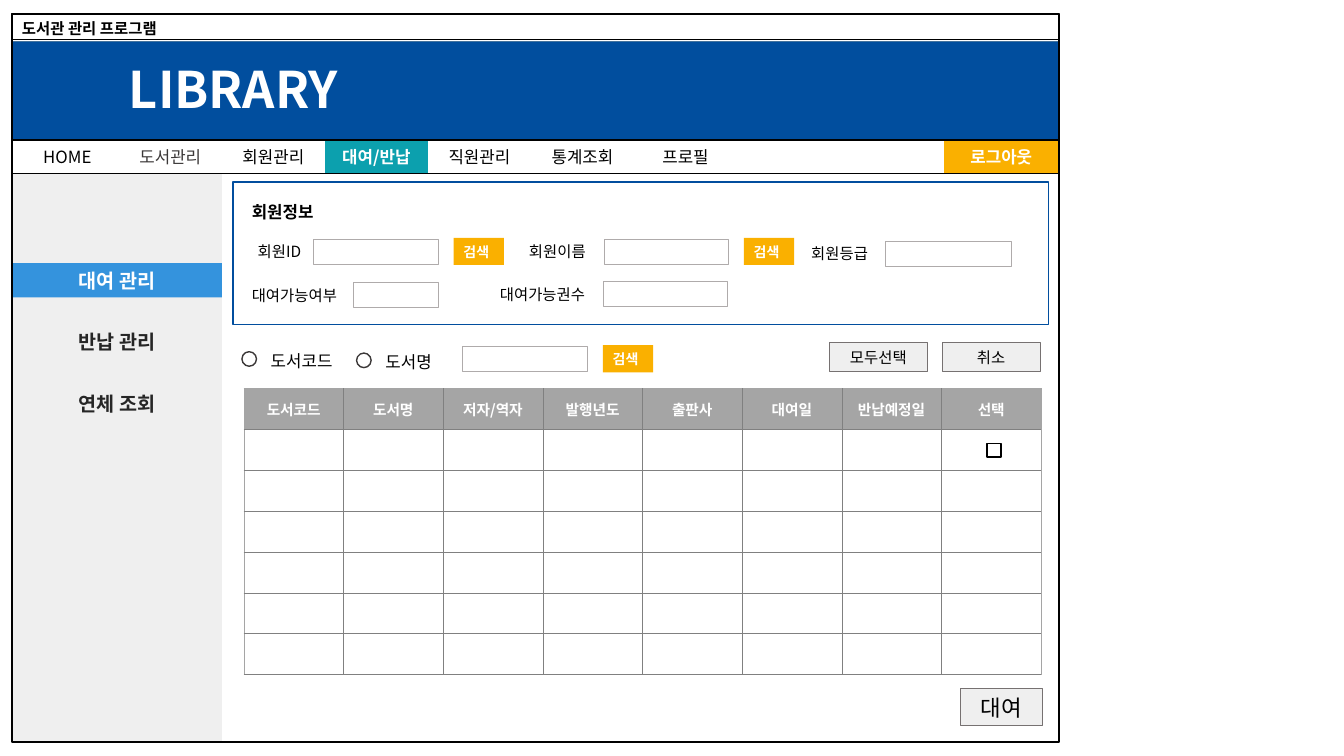
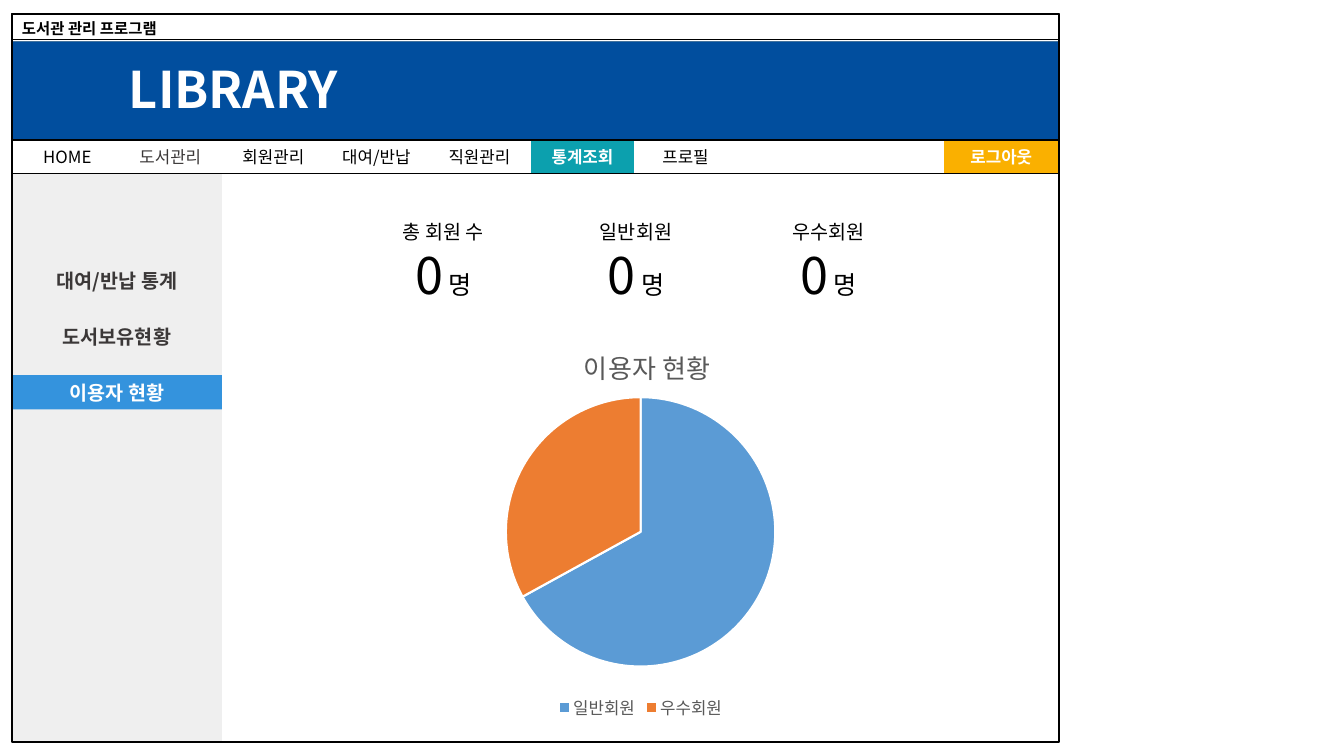
import pptx
import pptx.chart.data
import pptx.dml.color
import pptx.enum.chart
import pptx.enum.shapes
import pptx.enum.text
import pptx.oxml.ns
import pptx.util
from lxml import etree

Pt = pptx.util.Pt
qn = pptx.oxml.ns.qn
rgb = pptx.dml.color.RGBColor.from_string
MIDDLE = pptx.enum.text.MSO_ANCHOR.MIDDLE
LEFT, CENTER = pptx.enum.text.PP_ALIGN.LEFT, pptx.enum.text.PP_ALIGN.CENTER
RECT = pptx.enum.shapes.MSO_SHAPE.RECTANGLE
PROCESS = pptx.enum.shapes.MSO_SHAPE.FLOWCHART_PROCESS
OVAL = pptx.enum.shapes.MSO_SHAPE.OVAL

FONT = "Noto Sans CJK KR"
BLACK, WHITE, DARK, TITLE_GRAY = "000000", "FFFFFF", "3B3838", "595959"
NAVY, BLUE, TEAL, AMBER = "014E9E", "3493DD", "0CA0AE", "FAB000"
PANEL, FIELD_LINE, BUTTON_LINE = "EFEFEF", "AFABAB", "767171"
HEAD, GRID = "A5A5A5", "808080"


def style(font, size, color=BLACK, bold=False):
    font.size, font.bold, font.name = Pt(size), bold, FONT
    font.color.rgb = rgb(color)
    etree.SubElement(font._rPr, qn("a:ea"), typeface=FONT)


def box(s, x, y, w, h, text="", size=12, color=BLACK, bold=False, align=LEFT,
        fill=None, line=None, weight=1, kind=RECT):
    pos = Pt(x), Pt(y), Pt(w), Pt(h)
    if fill or line:
        sp = s.shapes.add_shape(kind, *pos)
        sp.shadow.inherit = False
        if fill:
            sp.fill.solid()
            sp.fill.fore_color.rgb = rgb(fill)
        else:
            sp.fill.background()
        if line:
            sp.line.color.rgb = rgb(line)
            sp.line.width = Pt(weight)
        else:
            sp.line.fill.background()
    else:
        sp = s.shapes.add_textbox(*pos)
    tf = sp.text_frame
    tf.word_wrap, tf.vertical_anchor = True, MIDDLE
    tf.margin_top = tf.margin_bottom = 0
    if align == LEFT:
        tf.margin_right = 0
    if text:
        tf.text = text
        tf.paragraphs[0].alignment = align
        style(tf.paragraphs[0].runs[0].font, size, color, bold)
    return sp


prs = pptx.Presentation()
prs.slide_width, prs.slide_height = Pt(960), Pt(540)

# Window frame, banner, tabs and side menu of both slides
TABS = ["HOME", "도서관리", "회원관리", "대여/반납", "직원관리", "통계조회", "프로필"]
screens = [
    ("대여/반납", ["대여 관리", "반납 관리", "연체 조회"], "대여 관리", 44, "262626"),
    ("통계조회", ["대여/반납 통계", "도서보유현황", "이용자 현황"], "이용자 현황", 40, DARK),
]
slides = []
for active_tab, menu, active_item, step, menu_color in screens:
    s = prs.slides.add_slide(prs.slide_layouts[6])
    slides.append(s)
    box(s, 8.6, 124, 150, 406, fill=PANEL)
    box(s, 8.6, 10, 221, 21, "도서관 관리 프로그램", 11, bold=True)
    box(s, 8.6, 29.5, 747.4, 70, fill=NAVY, line="43739E")
    box(s, 85, 37.5, 164, 51, "LIBRARY", 36, WHITE, True)
    box(s, 8.6, 10, 748, 18, line=BLACK, kind=PROCESS)
    for i, item in enumerate(menu):
        on = item == active_item
        box(s, 8.6, 188 + i * step, 150, 24.4, item, 14, WHITE if on else menu_color,
            True, CENTER, fill=BLUE if on else None)
    for i, tab in enumerate(TABS):
        on = tab == active_tab
        color = WHITE if on else DARK if tab == "도서관리" else BLACK
        box(s, 11.3 + i * 73.6, 100, 73.6, 24, tab, 12, color, on, CENTER,
            fill=TEAL if on else None, kind=PROCESS)
    box(s, 674.5, 100, 81.5, 24, "로그아웃", 12, WHITE, True, CENTER, fill=AMBER, kind=PROCESS)
    box(s, 8.6, 100, 748, 24, line=BLACK, kind=PROCESS)
    box(s, 8.6, 10, 748, 520, line=BLACK, kind=PROCESS)
lending, stats = slides

# Lending: member panel and search fields
s = lending
box(s, 166.5, 130, 582.5, 102, fill=WHITE, line=NAVY)
box(s, 172.8, 140.5, 80, 21.5, "회원정보", 12, bold=True)
fields = [  # label, label x, field x, field width, button x, middle y
    ("회원ID", 177, 224, 89, 324, 179.6),
    ("회원이름", 370.8, 431.3, 89, 531.3, 179.6),
    ("회원등급", 572.4, 632.2, 90, None, 181),
    ("대여가능여부", 172.8, 252.4, 61, None, 210.6),
    ("대여가능권수", 350, 430.6, 89, None, 210),
    (None, None, 330.5, 89, 430.6, 256.3),
]
for label, label_x, field_x, field_w, button_x, mid in fields:
    if label:
        box(s, label_x, mid - 10.5, 80, 21, label, 11)
    box(s, field_x, mid - 9, field_w, 18, fill=WHITE, line=FIELD_LINE, weight=0.25)
    if button_x:
        box(s, button_x, mid - 9.7, 36, 19.4, "검색", 10, WHITE, True, fill=AMBER)

# Lending: radio buttons and push buttons
for x, y, label in [(172.8, 251.2, "도서코드"), (254.7, 252.2, "도서명")]:
    box(s, x, y, 10.4, 10.4, fill=WHITE, line=DARK, kind=OVAL)
    box(s, x + 13.5, y - 4.2, 62, 21.5, label)
for x, y, w, h, label, size in [(592.4, 244.6, 70, 21, "모두선택", 11),
                                (673, 244.6, 70, 21, "취소", 11),
                                (686, 491.8, 58.4, 26.6, "대여", 16)]:
    box(s, x, y, w, h, label, size, align=CENTER, fill=PANEL, line=BUTTON_LINE, weight=0.75)

# Lending: book table
heads = ["도서코드", "도서명", "저자/역자", "발행년도", "출판사", "대여일", "반납예정일", "선택"]
n_rows, n_cols = 7, len(heads)
tbl = s.shapes.add_table(n_rows, n_cols, Pt(174.2), Pt(277.4), Pt(569.6), Pt(204.4)).table
tbl.first_row = tbl.horz_banding = False
for col in tbl.columns:
    col.width = Pt(71.2)
for i, row in enumerate(tbl.rows):
    row.height = Pt(29.2)
    for j, cell in enumerate(row.cells):
        cell.vertical_anchor = MIDDLE
        cell.margin_top = cell.margin_bottom = 0
        outer = {"L": j == 0, "R": j == n_cols - 1, "T": i == 0, "B": False}
        for side, is_outer in outer.items():
            ln = etree.SubElement(cell._tc.get_or_add_tcPr(), qn("a:ln" + side),
                                  w=str(Pt(0.5 if is_outer else 0.25)))
            solid = etree.SubElement(ln, qn("a:solidFill"))
            etree.SubElement(solid, qn("a:srgbClr"), val=HEAD if is_outer else GRID)
        cell.fill.solid()
        cell.fill.fore_color.rgb = rgb(WHITE if i else HEAD)
        if i == 0:
            cell.text = heads[j]
            p = cell.text_frame.paragraphs[0]
            p.alignment = CENTER
            style(p.runs[0].font, 10.5, WHITE, True)
box(s, 705, 317, 10, 9.4, fill=WHITE, line=BLACK)

# Statistics: member counts
s = stats
for i, label in enumerate(["총 회원 수", "일반회원", "우수회원"]):
    sp = box(s, 252 + i * 137.6, 149.8, 129.6, 75, label, 14, align=CENTER)
    p = sp.text_frame.add_paragraph()
    p.alignment = CENTER
    for text, size in [("0", 36), (" 명", 18)]:
        r = p.add_run()
        r.text = text
        style(r.font, size)

# Statistics: pie chart
data = pptx.chart.data.CategoryChartData()
data.categories = ["일반회원", "우수회원"]
data.add_series("이용자 현황", [67, 33])
chart = s.shapes.add_chart(pptx.enum.chart.XL_CHART_TYPE.PIE, Pt(183.6), Pt(225.4),
                           Pt(548), Pt(291.6), data).chart
style(chart.font, 10)
chart.has_title = True
tf = chart.chart_title.text_frame
tf.text = "이용자 현황"
style(tf.paragraphs[0].runs[0].font, 18.6, TITLE_GRAY)
chart.has_legend = True
chart.legend.position = pptx.enum.chart.XL_LEGEND_POSITION.BOTTOM
chart.legend.include_in_layout = False
style(chart.legend.font, 12, TITLE_GRAY)
plot = chart.plots[0]
plot.vary_by_categories = True
plot.has_data_labels = False
for i, color in enumerate(["5B9BD5", "ED7D31"]):
    fmt = plot.series[0].points[i].format
    fmt.fill.solid()
    fmt.fill.fore_color.rgb = rgb(color)
    fmt.line.color.rgb = rgb(WHITE)
    fmt.line.width = Pt(1.5)

# Fixed places of the chart title and the pie, as shares of the chart
chart_el = chart._chartSpace.find(qn("c:chart"))
layouts = [
    ("c:title", 1, {"xMode": "edge", "yMode": "edge", "x": 0.42, "y": 0.06}),
    ("c:plotArea", 0, {"layoutTarget": "inner", "xMode": "edge", "yMode": "edge",
                       "x": 0.32, "y": 0.2, "w": 0.36, "h": 0.66}),
]
for tag, index, values in layouts:
    parent = chart_el.find(qn(tag))
    for old in parent.findall(qn("c:layout")):
        parent.remove(old)
    layout = etree.Element(qn("c:layout"))
    manual = etree.SubElement(layout, qn("c:manualLayout"))
    for name, value in values.items():
        etree.SubElement(manual, qn("c:" + name), val=str(value))
    parent.insert(index, layout)

prs.save("out.pptx")
